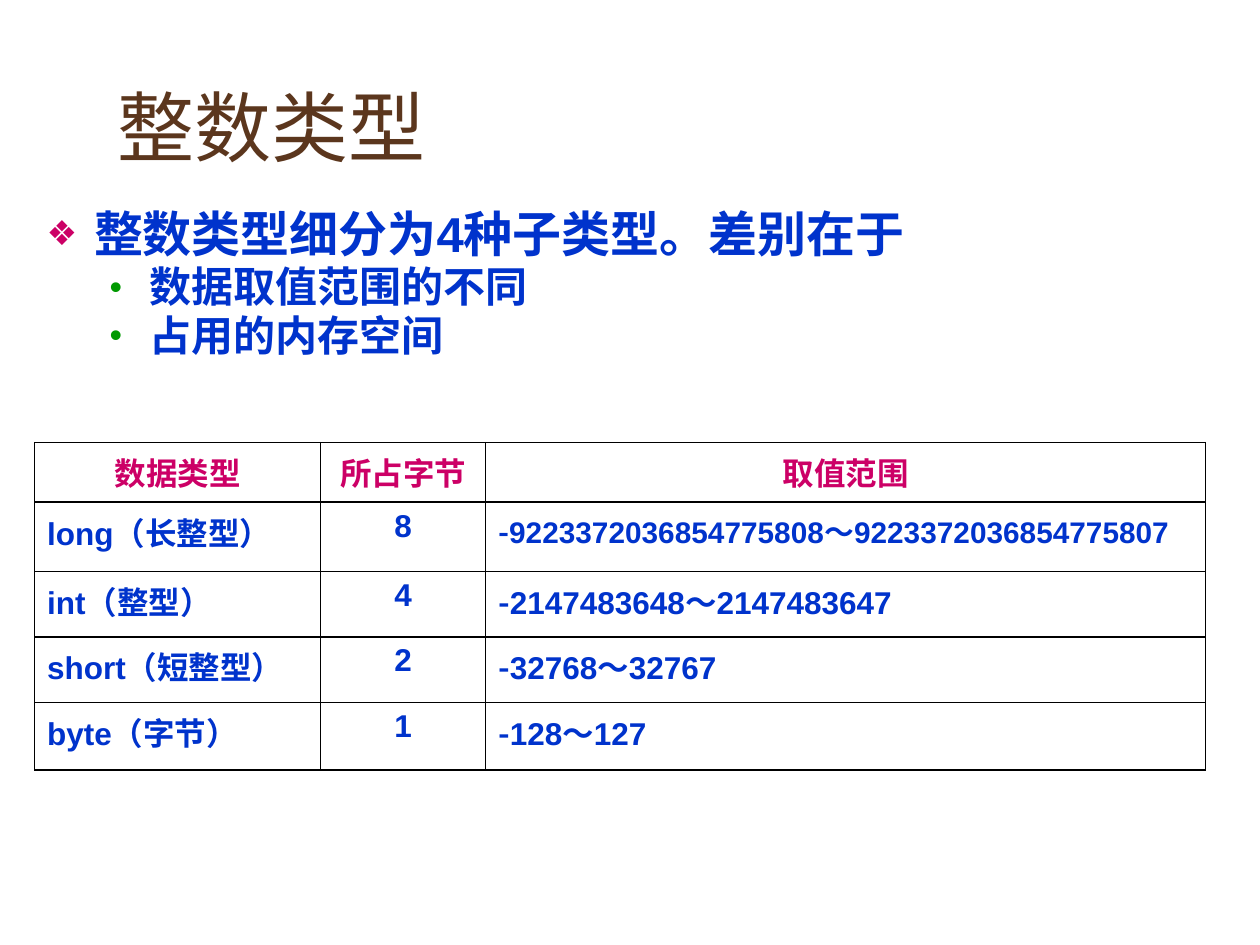
from dataclasses import dataclass

from lxml.etree import SubElement
from pptx import Presentation
from pptx.dml.color import RGBColor as Color
from pptx.enum.text import MSO_ANCHOR as Anchor
from pptx.enum.text import MSO_AUTO_SIZE as AutoSize
from pptx.enum.text import PP_ALIGN as Align
from pptx.oxml.ns import qn
from pptx.util import Pt


@dataclass(frozen=True)
class Theme:
    latin: str = "Arial"
    cjk: str = "Noto Sans CJK SC"
    title: str = "5B361D"
    text: str = "0033CC"
    accent: str = "CC0066"
    sub_bullet: str = "009900"
    border: str = "000000"
    title_size: float = 44
    point_size: float = 28
    sub_size: float = 24
    cell_size: float = 18
    tight_size: float = 17


@dataclass(frozen=True)
class Point:
    text: str
    level: int


@dataclass(frozen=True)
class PointStyle:
    size: float
    bullet: str
    bullet_color: str
    bullet_percent: int
    left: float
    hanging: float


@dataclass(frozen=True)
class IntegerType:
    name: str
    size_in_bytes: str
    limits: str
    limits_size: float


THEME = Theme()
POINT_STYLES = [
    PointStyle(THEME.point_size, "❖", THEME.accent, 70, 27, 27),
    PointStyle(THEME.sub_size, "•", THEME.sub_bullet, 85, 58.5, 22.5),
]
POINTS = [
    Point("整数类型细分为4种子类型。差别在于", 0),
    Point("数据取值范围的不同", 1),
    Point("占用的内存空间", 1),
]
HEADERS = ["数据类型", "所占字节", "取值范围"]
INTEGER_TYPES = [
    IntegerType("long（长整型）", "8", "9223372036854775808～9223372036854775807", THEME.tight_size),
    IntegerType("int（整型）", "4", "2147483648～2147483647", THEME.cell_size),
    IntegerType("short（短整型）", "2", "32768～32767", THEME.cell_size),
    IntegerType("byte（字节）", "1", "128～127", THEME.cell_size),
]
COLUMN_WIDTHS = [163.5, 94.25, 411.5]
ROW_HEIGHTS = [34, 39.5, 37.5, 37.5, 38.5]


def apply(target, values: dict) -> None:
    for name, value in values.items():
        setattr(target, name, value)


def place(shape, left: float, top: float, width: float, height: float) -> None:
    apply(shape, {"left": Pt(left), "top": Pt(top), "width": Pt(width), "height": Pt(height)})


def add_run(paragraph, text: str, size: float, color: str,
            bold: bool = True, font: str = THEME.latin) -> None:
    run = paragraph.add_run()
    run.text = text
    apply(run.font, {"name": font, "size": Pt(size), "bold": bold})
    run.font.color.rgb = Color.from_string(color)


def set_indent(paragraph, left: float, hanging: float):
    properties = paragraph._p.get_or_add_pPr()
    properties.set("marL", str(Pt(left)))
    properties.set("indent", str(-Pt(hanging)))
    return properties


def add_point(paragraph, point: Point) -> None:
    style = POINT_STYLES[point.level]
    apply(paragraph, {"level": point.level, "alignment": Align.LEFT,
                      "line_spacing": 0.9, "space_before": Pt(2)})
    properties = set_indent(paragraph, style.left, style.hanging)
    color = SubElement(properties, qn("a:buClr"))
    SubElement(color, qn("a:srgbClr"), val=style.bullet_color)
    SubElement(properties, qn("a:buSzPct"), val=str(style.bullet_percent * 1000))
    SubElement(properties, qn("a:buFont"), typeface=THEME.latin)
    SubElement(properties, qn("a:buChar"), char=style.bullet)
    add_run(paragraph, point.text, style.size, THEME.text)


def set_borders(cell, widths: dict[str, float]) -> None:
    properties = cell._tc.get_or_add_tcPr()
    for position, (side, width) in enumerate(widths.items()):
        line = properties.makeelement(qn(f"a:{side}"), {"w": str(Pt(width))})
        fill = SubElement(line, qn("a:solidFill"))
        SubElement(fill, qn("a:srgbClr"), val=THEME.border)
        properties.insert(position, line)


def start_cell(cell, column: int, centered: bool):
    cell.fill.background()
    cell.vertical_anchor = Anchor.TOP
    last = len(COLUMN_WIDTHS) - 1
    set_borders(cell, {"lnL": 0.75 if column == 0 else 1,
                       "lnR": 0.75 if column == last else 1,
                       "lnT": 1, "lnB": 1})
    paragraph = cell.text_frame.paragraphs[0]
    paragraph.alignment = Align.CENTER if centered else Align.LEFT
    set_indent(paragraph, 27, 27)
    return paragraph


def add_type_table(slide) -> None:
    frame = slide.shapes.add_table(len(ROW_HEIGHTS), len(COLUMN_WIDTHS), Pt(19.75), Pt(253),
                                   Pt(sum(COLUMN_WIDTHS)), Pt(sum(ROW_HEIGHTS)))
    table = frame.table
    apply(table, {"first_row": False, "horz_banding": False})
    for column, width in zip(table.columns, COLUMN_WIDTHS):
        column.width = Pt(width)
    for row, height in zip(table.rows, ROW_HEIGHTS):
        row.height = Pt(height)

    for column, header in enumerate(HEADERS):
        paragraph = start_cell(table.cell(0, column), column, True)
        add_run(paragraph, header, THEME.cell_size, THEME.accent)
    for row, kind in enumerate(INTEGER_TYPES, start=1):
        name, size_in_bytes, limits = (
            start_cell(table.cell(row, column), column, column == 1)
            for column in range(len(HEADERS)))
        add_run(name, kind.name, THEME.cell_size, THEME.text)
        add_run(size_in_bytes, kind.size_in_bytes, THEME.cell_size, THEME.text)
        add_run(limits, "-", kind.limits_size, THEME.text, font=THEME.cjk)
        add_run(limits, kind.limits, kind.limits_size, THEME.text)


presentation = Presentation()
apply(presentation, {"slide_width": Pt(720), "slide_height": Pt(540)})
slide = presentation.slides.add_slide(presentation.slide_layouts[1])

# Title
title = slide.shapes.title
place(title, 60, 49, 535, 46)
apply(title.text_frame, {"auto_size": AutoSize.NONE, "vertical_anchor": Anchor.MIDDLE})
heading = title.text_frame.paragraphs[0]
heading.alignment = Align.LEFT
add_run(heading, "整数类型", THEME.title_size, THEME.title, bold=False)

# Bullet points
body = slide.placeholders[1]
place(body, 19.5, 116.5, 672.5, 119)
apply(body.text_frame, {"auto_size": AutoSize.NONE, "vertical_anchor": Anchor.TOP})
for index, point in enumerate(POINTS):
    frame = body.text_frame
    add_point(frame.add_paragraph() if index else frame.paragraphs[0], point)

# Table of integer types
add_type_table(slide)

presentation.save("out.pptx")
